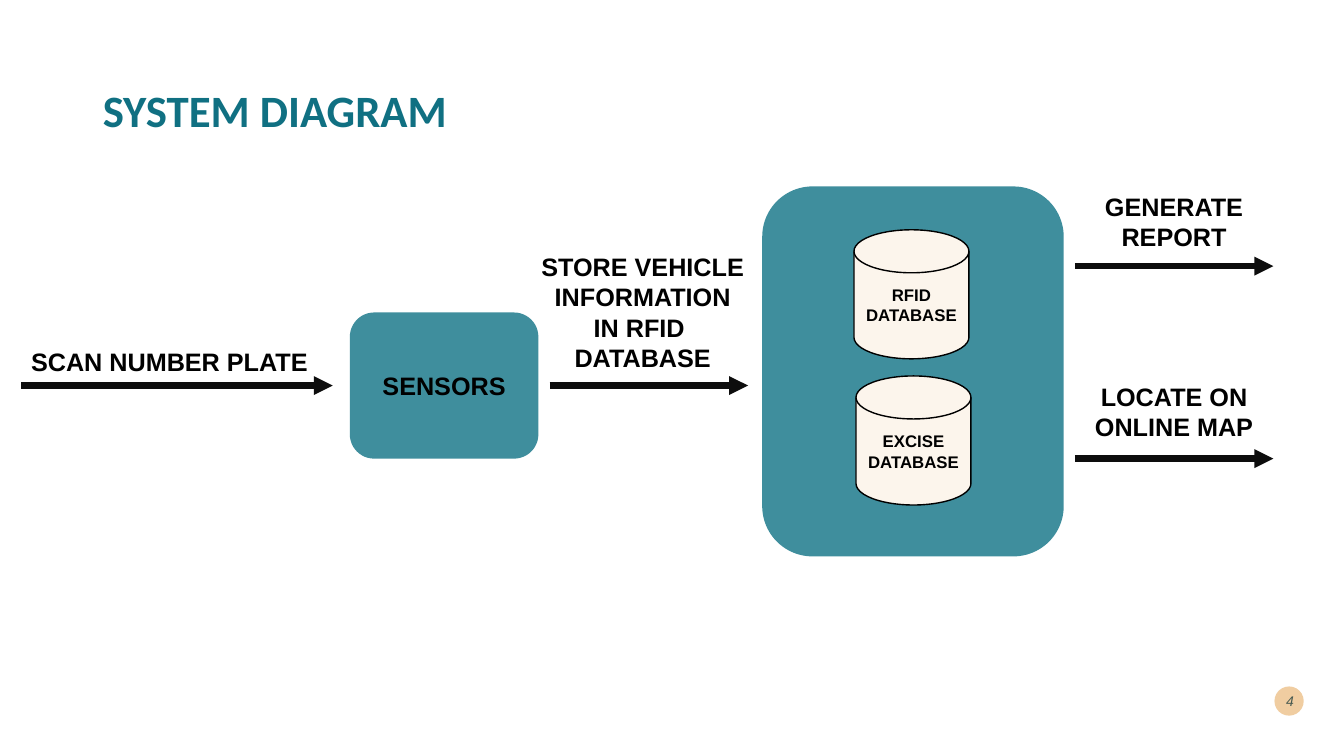
import pptx
import pptx.util
from pptx.dml.color import RGBColor
from pptx.enum.shapes import MSO_CONNECTOR, MSO_SHAPE
from pptx.enum.text import MSO_ANCHOR, PP_ALIGN
from pptx.oxml.ns import qn
from lxml import etree

Inches = pptx.util.Inches
Pt = pptx.util.Pt

TITLE = RGBColor(0x10, 0x70, 0x82)
TEAL = RGBColor(0x3F, 0x8E, 0x9D)
CREAM = RGBColor(0xFC, 0xF5, 0xEC)
SAND = RGBColor(0xF0, 0xCD, 0xA1)
BLACK = RGBColor(0, 0, 0)
INK = RGBColor(0x0D, 0x0D, 0x0D)
DARK = RGBColor(0x00, 0x29, 0x2E)


def write(shape, text, size, align=PP_ALIGN.CENTER, anchor=MSO_ANCHOR.MIDDLE,
          wrap=True, color=BLACK, font="Arial", bold=True):
    frame = shape.text_frame
    frame.text = text
    frame.word_wrap = wrap
    frame.vertical_anchor = anchor
    for para in frame.paragraphs:
        para.alignment = align
        for run in para.runs:
            run.font.name = font
            run.font.size = Pt(size)
            run.font.bold = bold
            run.font.color.rgb = color


def block(slide, kind, box, fill, text="", size=18, edge=False):
    shape = slide.shapes.add_shape(kind, *map(Inches, box))
    shape.shadow.inherit = False
    shape.fill.solid()
    shape.fill.fore_color.rgb = fill
    if edge:
        shape.line.color.rgb = BLACK
        shape.line.width = Pt(1)
    else:
        shape.line.fill.background()
    if text:
        write(shape, text, size)


def label(slide, box, text, align=PP_ALIGN.CENTER):
    shape = slide.shapes.add_textbox(*map(Inches, box))
    write(shape, text, 18, align, MSO_ANCHOR.TOP, wrap=False)


def arrow(slide, left, top, width):
    line = slide.shapes.add_connector(
        MSO_CONNECTOR.STRAIGHT, Inches(left), Inches(top),
        Inches(left + width), Inches(top))
    line.line.color.rgb = INK
    line.line.width = Pt(4.5)
    props = line._element.spPr
    etree.SubElement(props.find(qn("a:ln")), qn("a:tailEnd"), type="triangle")
    etree.SubElement(props, qn("a:effectLst"))


def heading(slide, box, text):
    title = slide.shapes.title
    title.left, title.top, title.width, title.height = map(Inches, box)
    write(title, text, 32, PP_ALIGN.LEFT, color=TITLE, font="Calibri")
    title.text_frame.paragraphs[0].line_spacing = 0.9


def badge(slide, box, text):
    left, top, width, height = box
    block(slide, MSO_SHAPE.OVAL, box, SAND)
    shape = slide.shapes.add_textbox(
        Inches(left - 0.1), Inches(top - 0.06), Inches(width + 0.1), Inches(height + 0.11))
    write(shape, text, 10, PP_ALIGN.RIGHT, color=DARK, bold=False)
    run = shape.text_frame.paragraphs[0].runs[0]
    run.font.italic = True
    tint = run._r.rPr.find(".//" + qn("a:srgbClr"))
    etree.SubElement(tint, qn("a:alpha"), val="70000")


def sensing(slide, box):
    left, top, width, height = box
    block(slide, MSO_SHAPE.ROUNDED_RECTANGLE, box, TEAL, "SENSORS")
    middle = top + height / 2
    arrow(slide, left - 3.26, middle, 3.09)
    label(slide, (left - 3.26, middle - 0.44, 2.97, 0.4), "SCAN NUMBER PLATE", PP_ALIGN.LEFT)
    arrow(slide, left + width + 0.11, middle, 1.97)
    label(slide, (left + width - 0.08, middle - 1.38, 2.23, 1.31),
          "STORE VEHICLE\nINFORMATION\nIN RFID \nDATABASE")


def storage(slide, box):
    left, top, width, height = box
    block(slide, MSO_SHAPE.ROUNDED_RECTANGLE, box, TEAL)
    for row, name in enumerate(("RFID", "EXCISE")):
        disk = (left + 0.91 + row * 0.02, top + 0.43 + row * 1.45, 1.14, 1.28)
        block(slide, MSO_SHAPE.FLOWCHART_MAGNETIC_DISK, disk, CREAM,
              name + " DATABASE", 12, edge=True)


def outputs(slide, box):
    left, top, width, height = box
    parts = ((0, 0.79, "GENERATE\nREPORT"), (1.88, 2.7, " LOCATE ON \nONLINE MAP"))
    for text_top, line_top, text in parts:
        arrow(slide, left, top + line_top, width)
        label(slide, (left, top + text_top, width, 0.71), text)


def main():
    deck = pptx.Presentation()
    deck.slide_width = Inches(13.33)
    deck.slide_height = Inches(7.5)
    slide = deck.slides.add_slide(deck.slide_layouts[5])
    heading(slide, (0.92, 0.4, 11.5, 1.45), "SYSTEM DIAGRAM")
    sensing(slide, (3.47, 3.1, 1.87, 1.45))
    storage(slide, (7.56, 1.85, 2.99, 3.67))
    outputs(slide, (10.66, 1.85, 1.97, 2.7))
    badge(slide, (12.64, 6.81, 0.29, 0.29), "4")
    deck.save("out.pptx")


if __name__ == "__main__":
    main()
